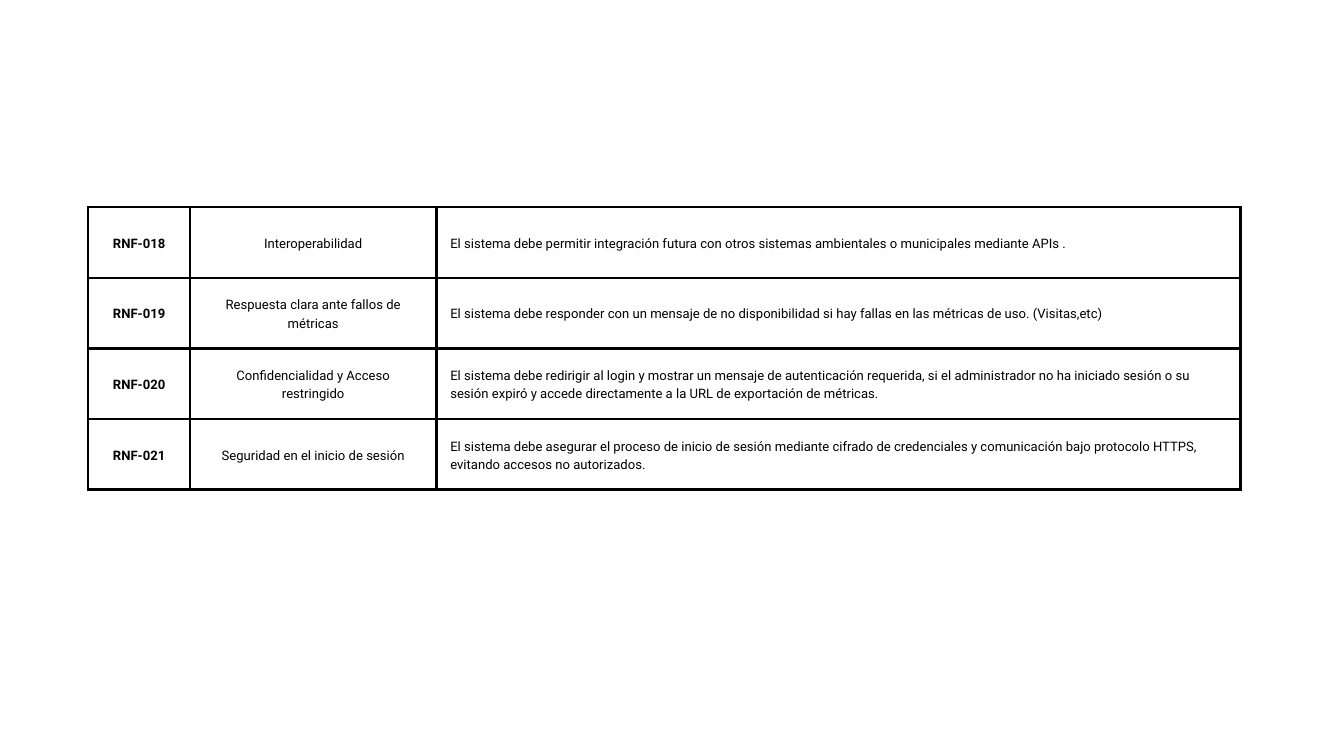
from pptx import Presentation
from pptx.dml.color import RGBColor
from pptx.enum.text import MSO_ANCHOR as Anchor, PP_ALIGN as Align
from pptx.oxml.ns import qn
from pptx.util import Cm, Pt
from lxml.etree import SubElement

BLACK = RGBColor(0x00, 0x00, 0x00)
WHITE = RGBColor(0xFF, 0xFF, 0xFF)

COLUMN_WIDTHS = [3.86, 9.3, 30.4]
ROW_HEIGHT = 2.67
COLUMN_FORMATS = [
    {"alignment": Align.CENTER, "bold": True},
    {"alignment": Align.CENTER, "bold": False},
    {"alignment": Align.LEFT, "bold": False},
]
REQUIREMENTS = [
    ("RNF-018", "Interoperabilidad",
     "El sistema debe permitir integración futura con otros sistemas ambientales "
     "o municipales mediante APIs ."),
    ("RNF-019", "Respuesta clara ante fallos de métricas",
     "El sistema debe responder con un mensaje de no disponibilidad si hay fallas "
     "en las métricas de uso. (Visitas,etc)"),
    ("RNF-020", "Confidencialidad y Acceso restringido",
     "El sistema debe redirigir al login y mostrar un mensaje de autenticación "
     "requerida, si el administrador no ha iniciado sesión o su sesión expiró y "
     "accede directamente a la URL de exportación de métricas."),
    ("RNF-021", "Seguridad en el inicio de sesión",
     "El sistema debe asegurar el proceso de inicio de sesión mediante cifrado de "
     "credenciales y comunicación bajo protocolo HTTPS, evitando accesos no "
     "autorizados."),
]


def set_attributes(target, values):
    for name, value in values.items():
        setattr(target, name, value)


class SlideBuilder:
    font = {"name": "Roboto", "size": Pt(14)}
    line_spacing = Pt(19.6)
    border_width = Pt(3)
    margins = {f"margin_{side}": Cm(0.53) for side in ("left", "right", "top", "bottom")}

    def __init__(self, slide):
        self.slide = slide

    def background(self, color):
        fill = self.slide.background.fill
        fill.solid()
        fill.fore_color.rgb = color

    def borders(self, cell):
        properties = cell._tc.get_or_add_tcPr()
        for side in ("lnL", "lnR", "lnT", "lnB"):
            line = SubElement(properties, qn(f"a:{side}"), w=str(self.border_width))
            fill = SubElement(line, qn("a:solidFill"))
            SubElement(fill, qn("a:srgbClr"), val=str(BLACK))

    def cell(self, cell, text, alignment, bold):
        set_attributes(cell, {"text": text, "vertical_anchor": Anchor.MIDDLE, **self.margins})
        self.borders(cell)
        cell.fill.background()
        paragraph = cell.text_frame.paragraphs[0]
        set_attributes(paragraph, {"alignment": alignment, "line_spacing": self.line_spacing})
        font = paragraph.runs[0].font
        set_attributes(font, {**self.font, "bold": bold})
        font.color.rgb = BLACK

    def table(self, left, top, widths, row_height, rows, formats):
        shape = self.slide.shapes.add_table(
            len(rows), len(widths), Cm(left), Cm(top),
            Cm(sum(widths)), Cm(row_height * len(rows)))
        table = shape.table
        set_attributes(table, {"first_row": False, "horz_banding": False})
        for column, width in zip(table.columns, widths):
            column.width = Cm(width)
        for row, texts in zip(table.rows, rows):
            row.height = Cm(row_height)
            for cell, text, values in zip(row.cells, texts, formats):
                self.cell(cell, text, **values)


def main():
    presentation = Presentation()
    set_attributes(presentation, {"slide_width": Cm(50.8), "slide_height": Cm(28.58)})
    blank_layout = presentation.slide_layouts[6]
    builder = SlideBuilder(presentation.slides.add_slide(blank_layout))
    builder.background(WHITE)
    builder.table(3.33, 7.83, COLUMN_WIDTHS, ROW_HEIGHT, REQUIREMENTS, COLUMN_FORMATS)
    presentation.save("out.pptx")


if __name__ == "__main__":
    main()
